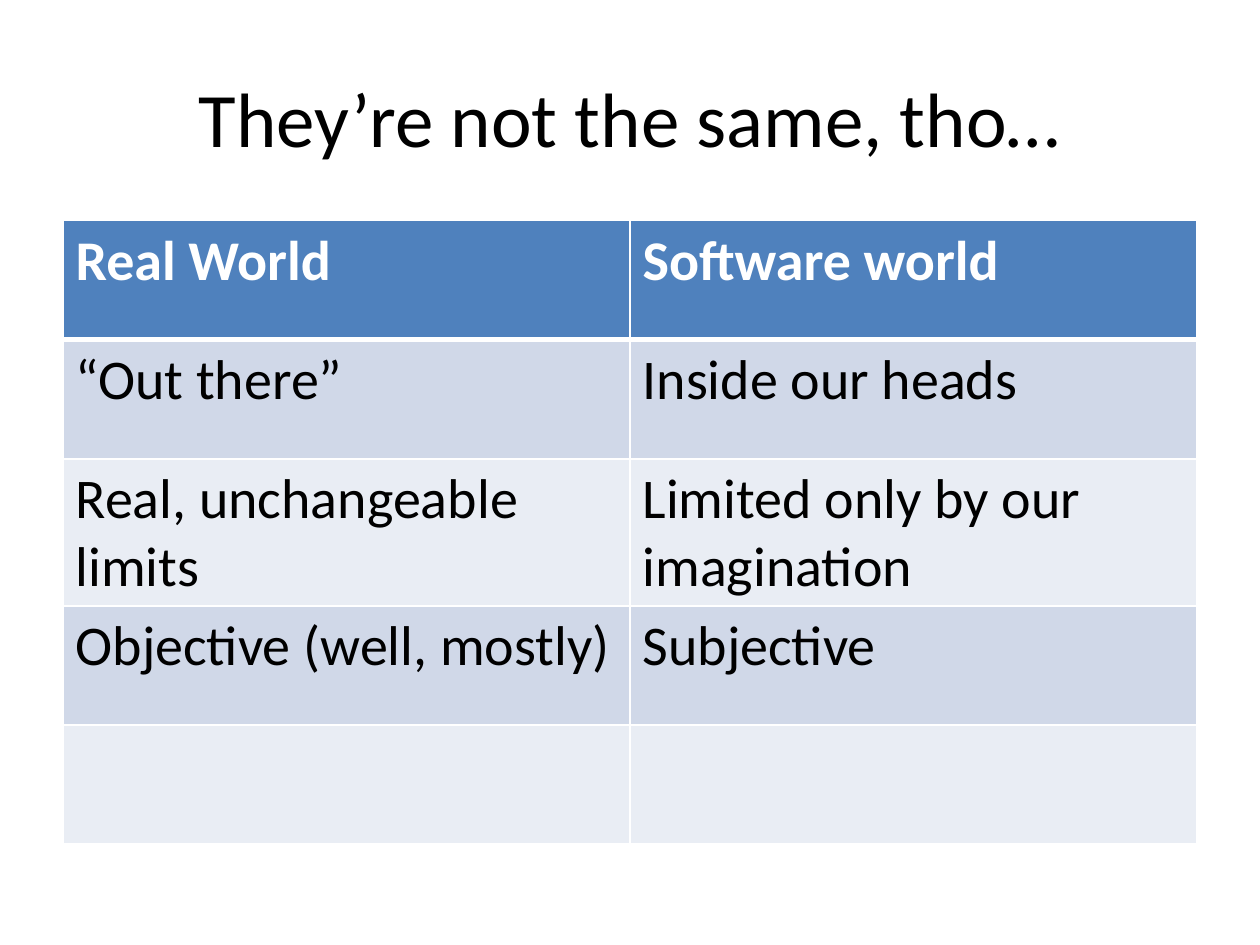
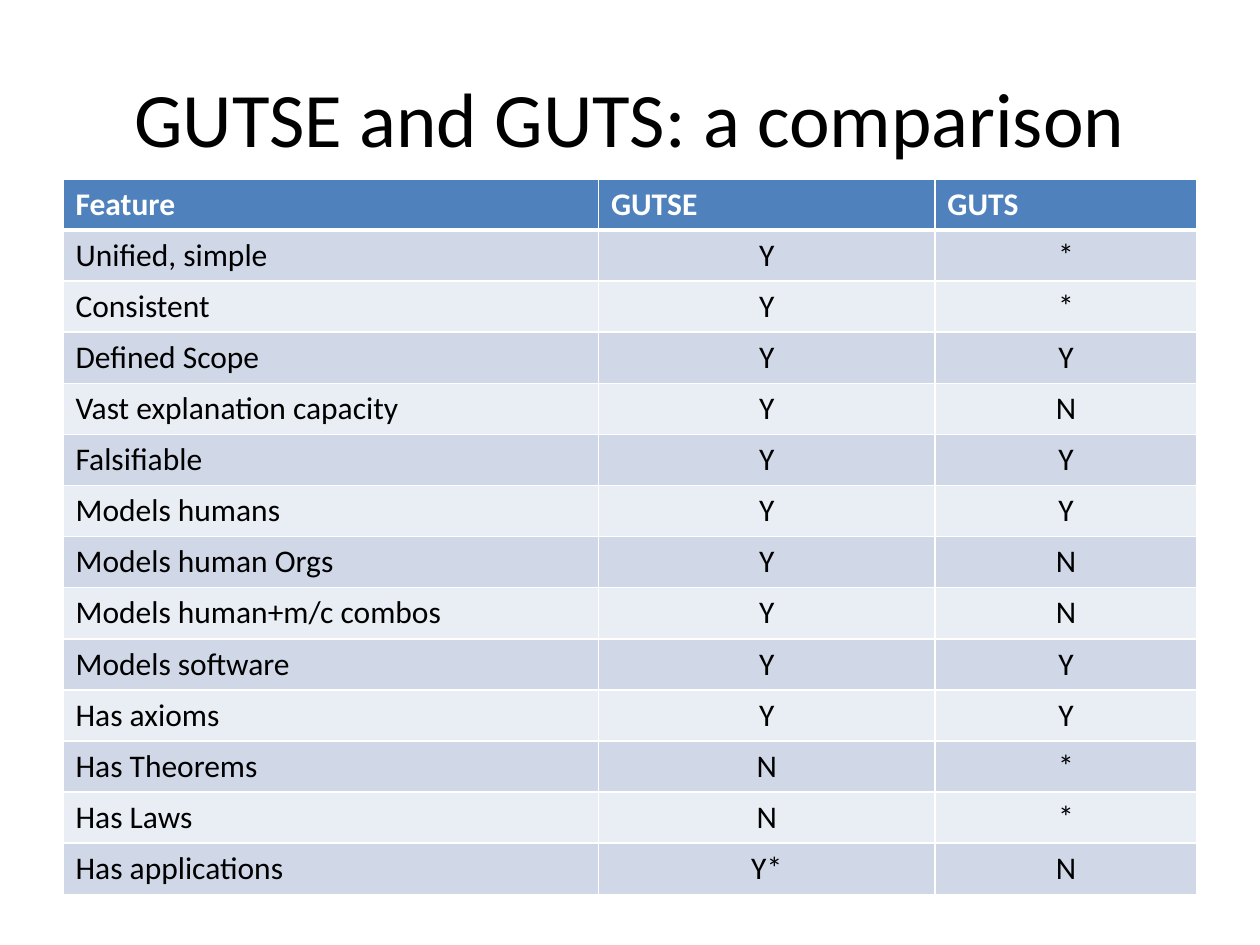
from dataclasses import dataclass

from lxml.etree import SubElement as Sub
from pptx import Presentation
from pptx.dml.color import RGBColor
from pptx.enum.text import MSO_ANCHOR as Anchor, PP_ALIGN as Align
from pptx.oxml.ns import qn
from pptx.slide import Slide
from pptx.table import _Cell as Cell
from pptx.text.text import _Paragraph as Para
from pptx.util import Inches, Pt

FONT = "Calibri"
BLACK, WHITE, BLUE = "000000", "FFFFFF", "4F81BD"
BANDS = ("D0D8E8", "E9EDF4")
LEFT, WIDTH = 0.5, 9


@dataclass
class Page:
    """A titled slide with one table."""
    title: str
    top: float
    height: float
    cols: tuple[float, ...]
    size: int
    mid: bool
    rows: list[tuple[str, ...]]


PAGES = [
    Page("They’re not the same, tho…", 1.75, 4.73, (4.5, 4.5), 32, False, [
        ("Real World", "Software world"),
        ("“Out there”", "Inside our heads"),
        ("Real, unchangeable limits", "Limited only by our imagination"),
        ("Objective (well, mostly)", "Subjective"),
        ("", ""),
    ]),
    Page("GUTSE and GUTS: a comparison", 1.42, 5.68, (4.25, 2.67, 2.08), 18, True, [
        ("Feature", "GUTSE", "GUTS"),
        ("Unified, simple", "Y", "*"),
        ("Consistent", "Y", "*"),
        ("Defined Scope", "Y", "Y"),
        ("Vast explanation capacity", "Y", "N"),
        ("Falsifiable", "Y", "Y"),
        ("Models humans", "Y", "Y"),
        ("Models human Orgs", "Y", "N"),
        ("Models human+m/c combos", "Y", "N"),
        ("Models software", "Y", "Y"),
        ("Has axioms", "Y", "Y"),
        ("Has Theorems", "N", "*"),
        ("Has Laws", "N", "*"),
        ("Has applications", "Y*", "N"),
    ]),
]


def color(code: str) -> RGBColor:
    """Turn a hex string into a colour."""
    return RGBColor.from_string(code)


def style(para: Para, size: int, code: str, bold: bool = False) -> None:
    """Format the runs of a paragraph."""
    for run in para.runs:
        font = run.font
        font.name, font.size, font.bold = FONT, Pt(size), bold
        font.color.rgb = color(code)


def add_title(slide: Slide, text: str) -> None:
    """Draw the centred slide title."""
    box = slide.shapes.add_textbox(Inches(LEFT), Inches(0.3), Inches(WIDTH), Inches(1.25))
    frame = box.text_frame
    frame.word_wrap = True
    frame.vertical_anchor = Anchor.MIDDLE
    frame.text = text
    para = frame.paragraphs[0]
    para.alignment = Align.CENTER
    style(para, 44, BLACK)


def edge(cell: Cell, row: int) -> None:
    """Give a cell white borders, thick below the header."""
    props = cell._tc.get_or_add_tcPr()
    thick = {0: "lnB", 1: "lnT"}.get(row)
    for side in ("lnL", "lnR", "lnT", "lnB"):
        line = Sub(props, qn(f"a:{side}"), w=str(Pt(3 if side == thick else 1)))
        Sub(Sub(line, qn("a:solidFill")), qn("a:srgbClr"), val=WHITE)


def add_grid(slide: Slide, page: Page) -> None:
    """Draw the banded table of a page."""
    count = len(page.rows)
    grid = slide.shapes.add_table(count, len(page.cols), Inches(LEFT), Inches(page.top),
                                  Inches(WIDTH), Inches(page.height)).table
    for col, width in zip(grid.columns, page.cols):
        col.width = Inches(width)
    for r, texts in enumerate(page.rows):
        grid.rows[r].height = Inches(page.height / count)
        head = r == 0
        for c, text in enumerate(texts):
            cell = grid.cell(r, c)
            edge(cell, r)
            cell.fill.solid()
            cell.fill.fore_color.rgb = color(BLUE if head else BANDS[(r - 1) % 2])
            cell.text_frame.text = text
            para = cell.text_frame.paragraphs[0]
            if page.mid and c and not head:
                para.alignment = Align.CENTER
            style(para, page.size, WHITE if head else BLACK, head)


def main() -> None:
    """Build and save the deck."""
    deck = Presentation()
    deck.slide_width, deck.slide_height = Inches(10), Inches(7.5)
    for page in PAGES:
        slide = deck.slides.add_slide(deck.slide_layouts[6])
        add_title(slide, page.title)
        add_grid(slide, page)
    deck.save("out.pptx")


if __name__ == "__main__":
    main()
